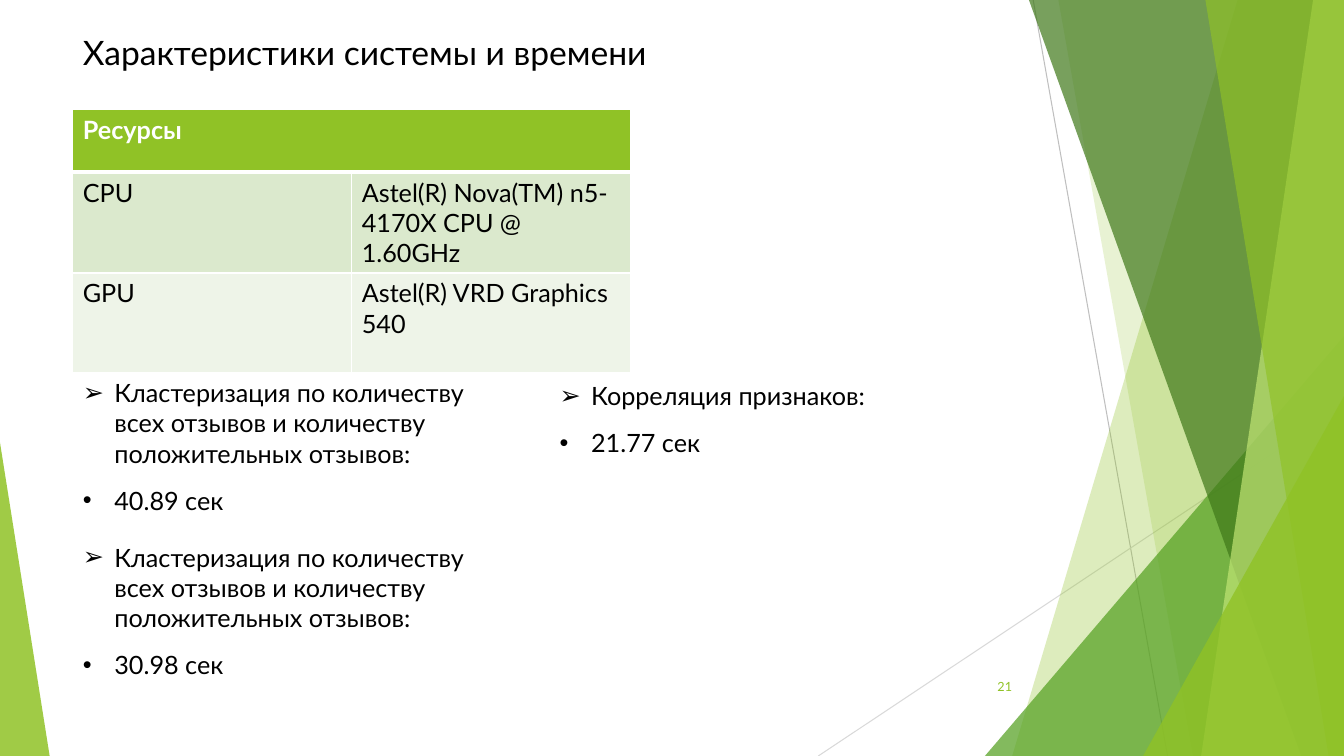
"""Build the slide on system resources and run times."""
import pptx
import pptx.util
import pptx.dml.color
import pptx.enum.shapes
import pptx.enum.text
import pptx.oxml
import pptx.oxml.ns
import lxml.etree

Pt = pptx.util.Pt
RGB = pptx.dml.color.RGBColor.from_string
ALIGN = pptx.enum.text.PP_ALIGN
ANCHOR = pptx.enum.text.MSO_ANCHOR
qn = pptx.oxml.ns.qn
COLORS = {
    "black": "000000", "white": "FFFFFF", "lime": "90C226", "green": "54A021",
    "dark": "3F7819", "pale": "C0E474", "band1": "DBE9CD", "band2": "EEF4E8",
    "line1": "BFBFBF", "line2": "D9D9D9",
}


def write(tf, text, size=18, color="black", bold=False, align=ALIGN.LEFT, after=0, bullet=None):
    """Add one formatted paragraph, filling the first one if it is empty."""
    p = tf.paragraphs[0] if not tf.paragraphs[0].runs else tf.add_paragraph()
    p.alignment = align
    p.space_before, p.space_after = Pt(0), Pt(after)
    r = p.add_run()
    r.text = text
    r.font.name, r.font.size, r.font.bold = "Lato", Pt(size), bold
    r.font.color.rgb = RGB(COLORS[color])
    if bullet:
        pPr = p._p.get_or_add_pPr()
        pPr.set("marL", str(Pt(22.5)))
        pPr.set("indent", str(-Pt(22.5)))
        lxml.etree.SubElement(pPr, qn("a:buFont")).set("typeface", "Arial")
        lxml.etree.SubElement(pPr, qn("a:buChar")).set("char", bullet)


def place(sp, left, top, width, height, anchor=ANCHOR.TOP):
    """Position a text shape and return its frame."""
    sp.left, sp.top, sp.width, sp.height = Pt(left), Pt(top), Pt(width), Pt(height)
    tf = sp.text_frame
    tf.word_wrap = True
    tf.auto_size = pptx.enum.text.MSO_AUTO_SIZE.NONE
    tf.vertical_anchor = anchor
    return tf


prs = pptx.Presentation()
prs.slide_width, prs.slide_height = Pt(960), Pt(540)
s = prs.slides.add_slide(prs.slide_layouts[4])

for x1, y1, x2, y2, color in [(738, 0, 834, 540, "line1"), (960, 290, 584.5, 540, "line2")]:
    line = s.shapes.add_connector(
        pptx.enum.shapes.MSO_CONNECTOR.STRAIGHT, Pt(x1), Pt(y1), Pt(x2), Pt(y2))
    line.line.color.rgb = RGB(COLORS[color])
    line.line.width = Pt(0.75)
    lxml.etree.SubElement(line._element.spPr, qn("a:effectLst"))

facets = [
    ("band", (884, 723), "lime", 30),
    ("band", (756, 852), "lime", 20),
    ("triangle", (703.5, 240, 256.5, 300, 1), "green", 72),
    ("band", (735, 929.5), "dark", 70),
    ("band", (938, 858), "pale", 70),
    ("band", (861, 949), "lime", 65),
    ("triangle", (816.5, 283, 143.5, 257, 1), "lime", 80),
    ("triangle", (0, 316, 35.5, 224, 0), "lime", 85),
]
for kind, geometry, color, alpha in facets:
    if kind == "band":
        top_x, bottom_x = geometry
        fb = s.shapes.build_freeform(Pt(top_x), Pt(0))
        fb.add_line_segments([(Pt(960), Pt(0)), (Pt(960), Pt(540)), (Pt(bottom_x), Pt(540))])
        sp = fb.convert_to_shape()
    else:
        *box, apex = geometry
        sp = s.shapes.add_shape(
            pptx.enum.shapes.MSO_SHAPE.ISOSCELES_TRIANGLE, *[Pt(v) for v in box])
        sp.adjustments[0] = apex
    sp.shadow.inherit = False
    sp.line.fill.background()
    sp.fill.solid()
    sp.fill.fore_color.rgb = RGB(COLORS[color])
    srgb = sp._element.spPr.find(qn("a:solidFill")).find(qn("a:srgbClr"))
    lxml.etree.SubElement(srgb, qn("a:alpha")).set("val", str(alpha * 1000))

tf = place(s.shapes.title, 52, 19.5, 428, 36)
write(tf, "Характеристики системы и времени", size=24)

clustering = "Кластеризация по количеству всех отзывов и количеству положительных отзывов:"
timings = [
    (1, 52, 266, 106.5, clustering, "40.89 сек"),
    (2, 52, 383.5, 106.5, clustering, "30.98 сек"),
    (3, 392.5, 268, 63.5, "Корреляция признаков:", "21.77 сек"),
]
for idx, left, top, height, task, time in timings:
    tf = place(s.placeholders[idx], left, top, 311, height)
    write(tf, task, after=12, bullet="➢")
    write(tf, time, after=12, bullet="•")
spare = s.placeholders[4]._element
spare.getparent().remove(spare)

tf = place(s.shapes.add_textbox(0, 0, 0, 0), 676, 476, 54, 29, ANCHOR.MIDDLE)
write(tf, "21", size=9, color="lime", align=ALIGN.RIGHT)

rows = [
    (44.5, "lime", ["Ресурсы", ""]),
    (71.5, "band1", ["CPU", "Astel(R) Nova(TM) n5-4170X CPU @ 1.60GHz"]),
    (71.5, "band2", ["GPU", "Astel(R) VRD Graphics 540"]),
]
table = s.shapes.add_table(3, 2, Pt(52), Pt(78.5), Pt(398.5), Pt(187.5)).table
for col in table.columns:
    col.width = Pt(199.25)
table.cell(0, 0).merge(table.cell(0, 1))
for i, (height, fill, texts) in enumerate(rows):
    table.rows[i].height = Pt(height)
    for j, text in enumerate(texts):
        cell = table.cell(i, j)
        tcPr = cell._tc.get_or_add_tcPr()
        for side in ("L", "R", "T", "B"):
            heavy = (i, side) in [(0, "B"), (1, "T")]
            ln = lxml.etree.SubElement(tcPr, qn("a:ln" + side))
            ln.set("w", str(Pt(3 if heavy else 1)))
            solid = lxml.etree.SubElement(ln, qn("a:solidFill"))
            lxml.etree.SubElement(solid, qn("a:srgbClr")).set("val", COLORS["white"])
        cell.fill.solid()
        cell.fill.fore_color.rgb = RGB(COLORS[fill])
        if text:
            write(cell.text_frame, text, color="white" if i == 0 else "black", bold=i == 0)

prs.save("out.pptx")
